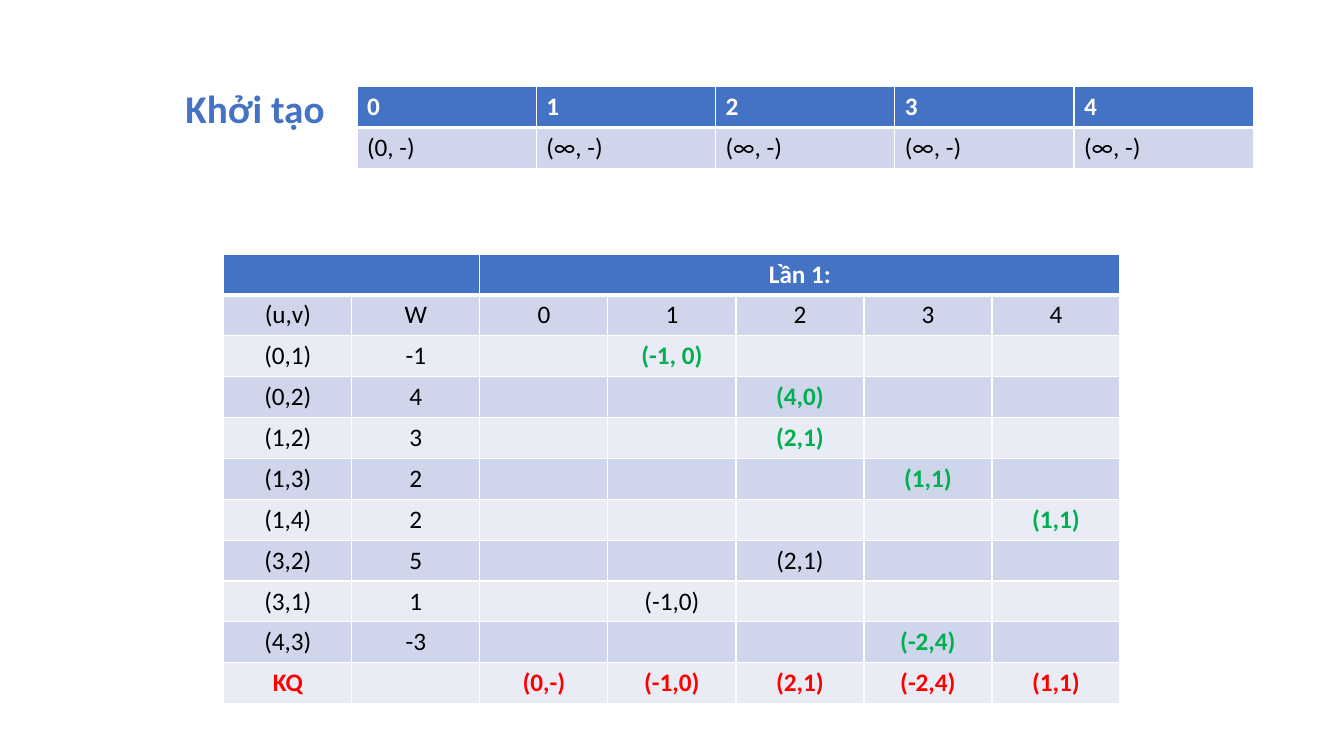
from lxml.etree import SubElement
from pptx import Presentation
from pptx.dml.color import RGBColor
from pptx.enum.text import PP_ALIGN
from pptx.oxml.ns import qn
from pptx.util import Inches, Pt

FONT = "Calibri"
BLUE = RGBColor(0x44, 0x72, 0xC4)
BANDS = (RGBColor(0xE9, 0xEB, 0xF5), RGBColor(0xCF, 0xD5, 0xEA))
WHITE = RGBColor(0xFF, 0xFF, 0xFF)
BLACK = RGBColor(0, 0, 0)
GREEN = RGBColor(0x00, 0xB0, 0x50)
RED = RGBColor(0xFF, 0, 0)

HEADING = "Khởi tạo"
VERTICES = ["0", "1", "2", "3", "4"]
INITIAL_LABELS = ["(0, -)"] + ["(∞, -)"] * 4
ROUND_NAME = "Lần 1:"
# Edge, weight, target vertex, label of the target, whether the label improved
EDGES = [
    ("(0,1)", "-1", 1, "(-1, 0)", True),
    ("(0,2)", "4", 2, "(4,0)", True),
    ("(1,2)", "3", 2, "(2,1)", True),
    ("(1,3)", "2", 3, "(1,1)", True),
    ("(1,4)", "2", 4, "(1,1)", True),
    ("(3,2)", "5", 2, "(2,1)", False),
    ("(3,1)", "1", 1, "(-1,0)", False),
    ("(4,3)", "-3", 3, "(-2,4)", True),
]
RESULT = ["KQ", "", "(0,-)", "(-1,0)", "(2,1)", "(-2,4)", "(1,1)"]

TABLE_WIDTH = 8.89
ROW_HEIGHT = 0.405


def style_text(paragraph, size, color, bold):
    font = paragraph.font
    font.name, font.size, font.bold = FONT, Pt(size), bold
    font.color.rgb = color


def add_border(cell, side, width):
    line = SubElement(cell._tc.get_or_add_tcPr(), qn(f"a:ln{side}"), w=str(Pt(width)))
    fill = SubElement(line, qn("a:solidFill"))
    SubElement(fill, qn("a:srgbClr"), val=str(WHITE))


def add_grid(slide, left, top, rows, alignment, accents):
    """Add a banded table; accents maps (row, column) to a bold text colour."""
    row_count, column_count = len(rows), len(rows[0])
    frame = slide.shapes.add_table(
        row_count, column_count, Inches(left), Inches(top),
        Inches(TABLE_WIDTH), Inches(ROW_HEIGHT * row_count))
    table = frame.table
    for row_index, texts in enumerate(rows):
        is_header = row_index == 0
        for column_index, text in enumerate(texts):
            cell = table.cell(row_index, column_index)
            accent = WHITE if is_header else accents.get((row_index, column_index))
            for side in "LRTB":
                heavy = (side, row_index) in (("B", 0), ("T", 1))
                add_border(cell, side, 3 if heavy else 1)
            cell.fill.solid()
            cell.fill.fore_color.rgb = BLUE if is_header else BANDS[row_index % 2]
            cell.text = text
            paragraph = cell.text_frame.paragraphs[0]
            paragraph.alignment = alignment
            style_text(paragraph, 18, accent or BLACK, accent is not None)
    return table


def add_round_table(slide):
    rows = [["", "", ROUND_NAME, "", "", "", ""], ["(u,v)", "W"] + VERTICES]
    accents = {}
    for edge, weight, target, label, improved in EDGES:
        labels = [label if vertex == target else "" for vertex in range(len(VERTICES))]
        if improved:
            accents[len(rows), target + 2] = GREEN
        rows.append([edge, weight] + labels)
    accents.update({(len(rows), column): RED for column in range(len(RESULT))})
    rows.append(RESULT)
    table = add_grid(slide, 2.22, 2.52, rows, PP_ALIGN.CENTER, accents)
    table.cell(0, 0).merge(table.cell(0, 1))
    table.cell(0, 2).merge(table.cell(0, 6))


def add_heading(slide):
    box = slide.shapes.add_textbox(Inches(1.74), Inches(0.79), Inches(1.8), Inches(0.57))
    box.text_frame.word_wrap = True
    box.text_frame.text = HEADING
    style_text(box.text_frame.paragraphs[0], 28, BLUE, True)


def main():
    presentation = Presentation()
    presentation.slide_width, presentation.slide_height = Inches(13.33), Inches(7.5)
    slide = presentation.slides.add_slide(presentation.slide_layouts[6])
    add_round_table(slide)
    add_grid(slide, 3.54, 0.86, [VERTICES, INITIAL_LABELS], PP_ALIGN.LEFT, {})
    add_heading(slide)
    presentation.save("out.pptx")


if __name__ == "__main__":
    main()
